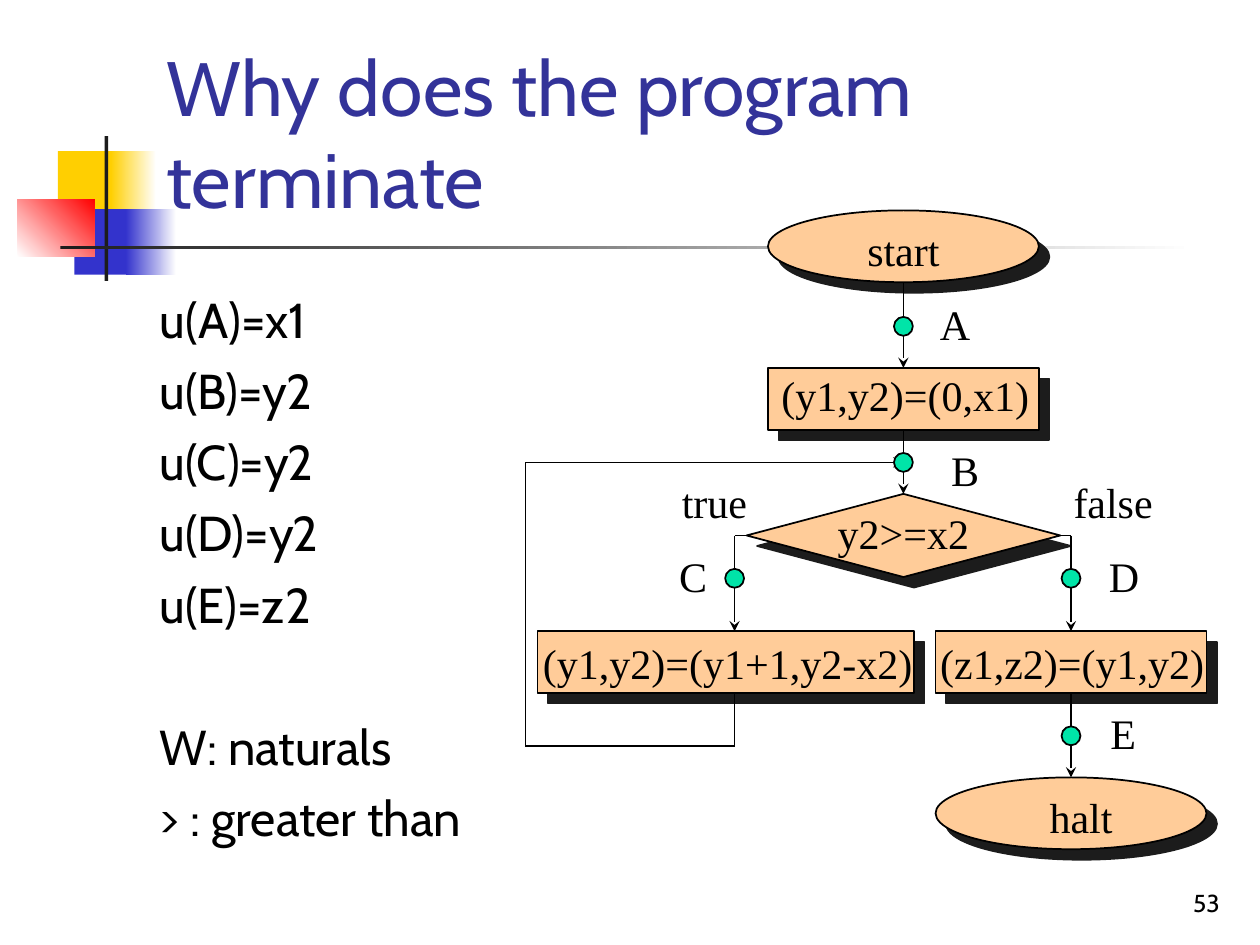
from itertools import pairwise

from pptx import Presentation
from pptx import util as u
from pptx.dml.color import RGBColor
from pptx.enum import shapes, text
from pptx.oxml.ns import qn
from pptx.oxml.xmlchemy import OxmlElement

COLORS = {
    "title": "333399", "ink": "000000", "node": "FFCC99", "point": "00E4A8",
    "dark": "1C1C1C", "yellow": "FFCF01", "blue": "3333CC", "red": "FF0000",
    "white": "FFFFFF",
}
SHAPE = shapes.MSO_SHAPE
TOP, LEFT, BOTTOM, RIGHT = range(4)


def color(name):
    """Return the named palette colour."""
    return RGBColor.from_string(COLORS[name])


def inches(*lengths):
    """Convert several lengths to Inches."""
    return [u.Inches(length) for length in lengths]


def write(frame, lines, size=24, font="Times New Roman", ink="ink",
          align=text.PP_ALIGN.CENTER, anchor=text.MSO_ANCHOR.TOP,
          wrap=False, befores=None):
    """Fill a text frame with one formatted paragraph per line."""
    frame.word_wrap = wrap
    frame.auto_size = (text.MSO_AUTO_SIZE.NONE if wrap
                       else text.MSO_AUTO_SIZE.SHAPE_TO_FIT_TEXT)
    frame.vertical_anchor = anchor
    for index, line in enumerate(lines):
        paragraph = frame.add_paragraph() if index else frame.paragraphs[0]
        paragraph.alignment = align
        if befores:
            paragraph.space_before = u.Pt(befores[index])
        run = paragraph.add_run()
        run.text = line
        run.font.size, run.font.name = u.Pt(size), font
        run.font.color.rgb = color(ink)


def add_form(slide, kind, box, fill, outlined=True):
    """Add a flat preset shape, with or without a thin outline."""
    form = slide.shapes.add_shape(kind, *inches(*box))
    form.shadow.inherit = False
    form.fill.solid()
    form.fill.fore_color.rgb = color(fill)
    if outlined:
        form.line.color.rgb, form.line.width = color("ink"), u.Pt(1)
    else:
        form.line.fill.background()
    return form


def add_node(slide, kind, center, top, width, height):
    """Add a flowchart node with its hard offset shadow."""
    node = add_form(slide, kind, (center - width / 2, top, width, height), "node")
    shadow = OxmlElement("a:outerShdw")
    for key, value in {"dist": u.Pt(8.5), "dir": 45 * 60000, "algn": "tl",
                       "rotWithShape": 0}.items():
        shadow.set(key, str(value))
    tint = OxmlElement("a:srgbClr")
    tint.set("val", COLORS["dark"])
    shadow.append(tint)
    node._element.spPr.find(qn("a:effectLst")).append(shadow)
    return node


def add_route(slide, points, start=None, end=None, arrow=True):
    """Join points by straight connectors, glued to nodes at its ends."""
    for begin, finish in pairwise(points):
        link = slide.shapes.add_connector(
            shapes.MSO_CONNECTOR.STRAIGHT, *inches(*begin, *finish))
        link.line.color.rgb, link.line.width = color("ink"), u.Pt(1)
        link._element.spPr.append(OxmlElement("a:effectLst"))
        if start and begin == points[0]:
            link.begin_connect(*start)
    if end:
        link.end_connect(*end)
    if arrow:
        tip = OxmlElement("a:tailEnd")
        tip.set("type", "stealth")
        link.line._get_or_add_ln().append(tip)


def add_ornament(slide, box):
    """Place the coloured squares and the crossing rules."""
    left, top = box
    parts = [
        (0.32, 0.12, 0.48, 0.52, "yellow", None, 0),
        (0.74, 0.12, 0.36, 0.52, "yellow", "white", 0),
        (0.45, 0.58, 0.46, 0.52, "blue", None, 0),
        (0.86, 0.58, 0.4, 0.52, "blue", "white", 0),
        (0, 0.5, 0.61, 0.46, "white", "red", 45),
        (0.69, 0, 0.03, 1.15, "dark", None, 0),
        (0.34, 0.87, 9, 0.03, "dark", "white", 0),
    ]
    for x, y, width, height, first, last, angle in parts:
        part = add_form(slide, SHAPE.RECTANGLE,
                        (left + x, top + y, width, height), first, outlined=False)
        if last:
            part.fill.gradient()
            part.fill.gradient_angle = angle
            for stop, name in zip(part.fill.gradient_stops, (first, last)):
                stop.color.rgb = color(name)


def add_title(slide, box):
    """Place the slide title."""
    title = slide.shapes.title
    title.left, title.top, title.width, title.height = inches(*box)
    write(title.text_frame, ["Why does the program terminate"], size=44,
          font="Cabin", ink="title", align=text.PP_ALIGN.LEFT,
          anchor=text.MSO_ANCHOR.MIDDLE, wrap=True)


def add_measures(slide, box):
    """Place the list of termination measures and its legend."""
    lines = [f"u({point})={value}" for point, value in
             zip("ABCDE", ("x1", "y2", "y2", "y2", "z2"))]
    lines += ["W: naturals", "> : greater than"]
    measures = slide.shapes.add_textbox(*inches(*box))
    write(measures.text_frame, lines, size=28, font="Cabin", wrap=True,
          align=text.PP_ALIGN.LEFT, befores=[7] * 5 + [48, 7])


def add_page_number(slide, box):
    """Place the page number."""
    number = slide.shapes.add_textbox(*inches(*box))
    write(number.text_frame, ["53"], size=14, font="Cabin", wrap=True,
          align=text.PP_ALIGN.RIGHT, anchor=text.MSO_ANCHOR.BOTTOM)


def add_flowchart(slide, box):
    """Place the flowchart: nodes, routes, cut points and labels."""
    left, top = box
    main, true_x, false_x = left + 3, left + 1.66, left + 4.33
    loop_y, branch_y, step_y, return_y = (top + y for y in (2, 2.58, 3.34, 4.25))
    halt_y = top + 4.5

    add_node(slide, SHAPE.OVAL, main, top, 2.15, 0.57)
    add_node(slide, SHAPE.OVAL, false_x, halt_y, 2.15, 0.57)
    initial = add_node(slide, SHAPE.RECTANGLE, main, top + 1.25, 2.15, 0.49)
    test = add_node(slide, SHAPE.DIAMOND, main, top + 2.25, 2.49, 0.66)
    add_node(slide, SHAPE.RECTANGLE, left + 1.59, step_y, 2.99, 0.49)
    result = add_node(slide, SHAPE.RECTANGLE, false_x, step_y, 2.15, 0.49)

    add_route(slide, [(main, top + 0.57), (main, top + 1.25)], end=(initial, TOP))
    add_route(slide, [(main, top + 1.74), (main, top + 2.25)],
              start=(initial, BOTTOM), end=(test, TOP))
    add_route(slide, [(main - 1.25, branch_y), (true_x, branch_y), (true_x, step_y)],
              start=(test, LEFT))
    add_route(slide, [(main + 1.25, branch_y), (false_x, branch_y), (false_x, step_y)],
              start=(test, RIGHT), end=(result, TOP))
    add_route(slide, [(false_x, step_y + 0.49), (false_x, halt_y)],
              start=(result, BOTTOM))
    add_route(slide, [(true_x, step_y + 0.49), (true_x, return_y),
                      (left, return_y), (left, loop_y), (main, loop_y)])

    dot = 0.15
    for x, y in [(main, top + 0.92), (main, loop_y), (true_x, top + 2.92),
                 (false_x, top + 2.92), (false_x, top + 4.17)]:
        add_form(slide, SHAPE.OVAL, (x - dot / 2, y - dot / 2, dot, dot), "point")

    labels = [
        ("start", 2.61, 0.06, 0.78), ("halt", 4.06, 4.56, 0.7),
        ("(y1,y2)=(0,x1)", 1.93, 1.21, 2.17), ("y2>=x2", 2.38, 2.31, 1.24),
        ("(y1,y2)=(y1+1,y2-x2)", 0.04, 3.34, 3.13),
        ("(z1,z2)=(y1,y2)", 3.19, 3.34, 2.3),
        ("true", 1.14, 2.06, 0.72), ("false", 4.25, 2.06, 0.83),
        ("A", 3.19, 0.65, 0.44), ("B", 3.28, 1.81, 0.42),
        ("C", 1.12, 2.65, 0.42), ("D", 4.53, 2.65, 0.44), ("E", 4.54, 3.9, 0.41),
    ]
    for wording, x, y, width in labels:
        label = slide.shapes.add_textbox(*inches(left + x, top + y, width, 0.5))
        write(label.text_frame, [wording])


def main():
    """Build and save the slide."""
    deck = Presentation()
    deck.slide_width, deck.slide_height = inches(10, 7.5)
    slide = deck.slides.add_slide(deck.slide_layouts[5])
    add_ornament(slide, (0.14, 1.08))
    add_page_number(slide, (7.7, 6.83, 2.08, 0.5))
    add_title(slide, (1.22, 0.42, 8.11, 1.25))
    add_measures(slide, (1.17, 2.25, 3.5, 4.5))
    add_flowchart(slide, (4.17, 1.67))
    deck.save("out.pptx")


if __name__ == "__main__":
    main()
